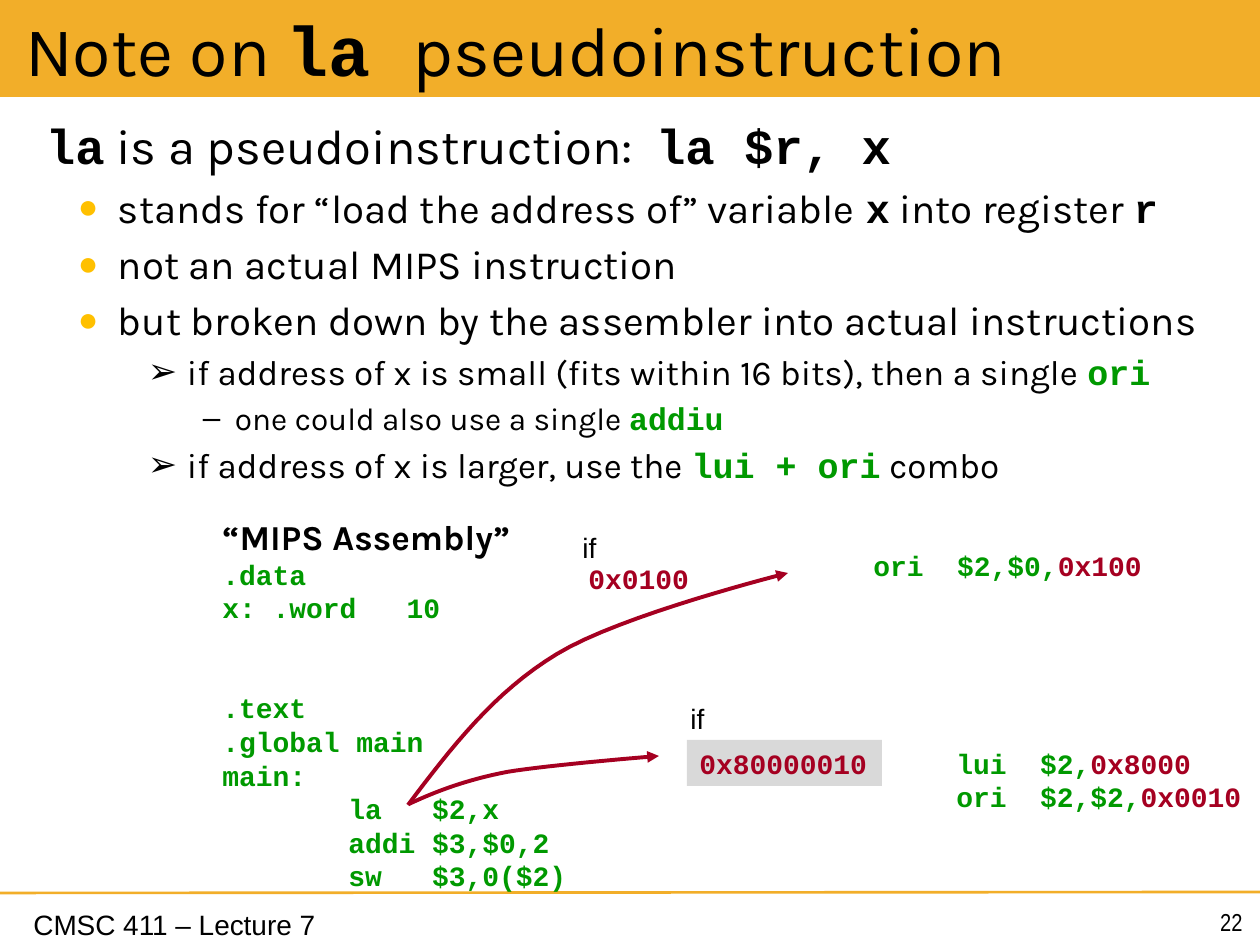
from lxml import etree
from pptx import Presentation
from pptx.dml.color import RGBColor
from pptx.enum.shapes import MSO_CONNECTOR, MSO_SHAPE
from pptx.enum.text import MSO_ANCHOR, MSO_AUTO_SIZE, PP_ALIGN
from pptx.oxml.ns import qn
from pptx.util import Emu, Pt

STRAIGHT = MSO_CONNECTOR.STRAIGHT
RECTANGLE = MSO_SHAPE.RECTANGLE
MIDDLE, TOP = MSO_ANCHOR.MIDDLE, MSO_ANCHOR.TOP
FIT_SHAPE, NO_FIT = MSO_AUTO_SIZE.SHAPE_TO_FIT_TEXT, MSO_AUTO_SIZE.NONE
LEFT, RIGHT = PP_ALIGN.LEFT, PP_ALIGN.RIGHT

PX = 914400 / 126
BLACK = RGBColor(0x00, 0x00, 0x00)
ORANGE = RGBColor(0xF2, 0xAE, 0x29)
GOLD = RGBColor(0xFF, 0xC0, 0x00)
GREEN = RGBColor(0x00, 0x99, 0x00)
RED = RGBColor(0xA5, 0x00, 0x21)
GREY = RGBColor(0xD9, 0xD9, 0xD9)

# Text styles: font, colour, bold
PLAIN = ("Karla", BLACK, False)
HEADING = ("Karla", BLACK, True)
MONO = ("Courier New", BLACK, True)
CODE = ("Courier New", GREEN, True)
VALUE = ("Courier New", RED, True)
LABEL = ("Arial", BLACK, False)
NUMBER = ("Arial Narrow", BLACK, False)

# Body levels: text size, left margin, hanging indent, bullet, bullet colour, bullet percent
LEVELS = [
    (28, 0, 0, None, None, None),
    (23, 72, 40, "●", GOLD, 85),
    (20, 141, 39, "➢", BLACK, 100),
    (18, 189, 32, "–", BLACK, 100),
]

BODY = [
    (0, [("la", MONO), (" is a pseudoinstruction:  ", PLAIN), ("la $r, x", MONO)]),
    (1, [("stands for “load the address of” variable ", PLAIN), ("x", MONO),
         (" into register ", PLAIN), ("r", MONO)]),
    (1, [("not an actual MIPS instruction", PLAIN)]),
    (1, [("but broken down by the assembler into actual instructions", PLAIN)]),
    (2, [("if address of x is small (fits within 16 bits), then a single ", PLAIN),
         ("ori", CODE)]),
    (3, [("one could also use a single ", PLAIN), ("addiu", CODE)]),
    (2, [("if address of x is larger, use the ", PLAIN), ("lui + ori", CODE),
         (" combo", PLAIN)]),
]

DECLARATIONS = [".data", "x: .word   10", ".text", ".global main", "main:"]
INSTRUCTIONS = ["la   $2,x", "addi $3,$0,2", "sw   $3,0($2)"]


def px(length):
    return Emu(round(length * PX))


def place(shape, left, top, width, height):
    shape.left, shape.top, shape.width, shape.height = map(px, (left, top, width, height))


def set_insets(frame, side, edge):
    frame.margin_left = frame.margin_right = px(side)
    frame.margin_top = frame.margin_bottom = px(edge)


def write(paragraph, spans, size):
    for text, (font, colour, bold) in spans:
        span = paragraph.add_run()
        span.text = text
        span.font.name, span.font.size = font, Pt(size)
        span.font.bold, span.font.color.rgb = bold, colour


def next_paragraph(frame, first):
    return frame.paragraphs[0] if first else frame.add_paragraph()


def indent(paragraph, margin, hanging=0):
    properties = paragraph._p.get_or_add_pPr()
    properties.set("marL", str(px(margin)))
    properties.set("indent", str(-px(hanging)))
    return properties


def set_bullet(properties, mark, colour, percent):
    if mark is None:
        etree.SubElement(properties, qn("a:buNone"))
        return
    holder = etree.SubElement(properties, qn("a:buClr"))
    etree.SubElement(holder, qn("a:srgbClr"), val=str(colour))
    etree.SubElement(properties, qn("a:buSzPct"), val=str(percent * 1000))
    etree.SubElement(properties, qn("a:buChar"), char=mark)


def add_title(page):
    title = page.shapes.title
    place(title, 0, 0, 1260, 97)
    title.fill.solid()
    title.fill.fore_color.rgb = ORANGE
    frame = title.text_frame
    frame.auto_size, frame.vertical_anchor = NO_FIT, MIDDLE
    set_insets(frame, 25, 6)
    paragraph = frame.paragraphs[0]
    paragraph.alignment = LEFT
    write(paragraph, [("Note on ", PLAIN), ("la ", MONO), ("pseudoinstruction", PLAIN)], 40)


def add_body(page):
    body = page.placeholders[1]
    place(body, 21, 97, 1207, 785)
    frame = body.text_frame
    frame.auto_size, frame.vertical_anchor = NO_FIT, TOP
    set_insets(frame, 25, 19)
    for index, (level, spans) in enumerate(BODY):
        size, margin, hanging, *bullet = LEVELS[level]
        paragraph = next_paragraph(frame, index == 0)
        paragraph.level = level
        set_bullet(indent(paragraph, margin, hanging), *bullet)
        if index == 0:
            paragraph.space_before = Pt(0)
        write(paragraph, spans, size)


def add_text(page, left, top, width, height, lines, size=16, align=LEFT):
    box = page.shapes.add_textbox(*map(px, (left, top, width, height)))
    fill_text(box, lines, size, align)
    return box


def fill_text(box, lines, size=16, align=LEFT):
    frame = box.text_frame
    frame.word_wrap, frame.auto_size = False, FIT_SHAPE
    for index, spans in enumerate(lines):
        paragraph = next_paragraph(frame, index == 0)
        paragraph.alignment = align
        write(paragraph, spans, size)


def add_program(page):
    box = add_text(page, 210, 509, 373, 394, [])
    frame = box.text_frame
    write(frame.paragraphs[0], [("“MIPS Assembly”", HEADING)], 20)
    for line in DECLARATIONS + INSTRUCTIONS:
        paragraph = frame.add_paragraph()
        if line in INSTRUCTIONS:
            indent(paragraph, 126)
        if line == ".text":
            paragraph.space_before = Pt(38)
        write(paragraph, [(line, CODE)], 16)


def add_value_box(page):
    box = page.shapes.add_shape(RECTANGLE, *map(px, (687, 740, 195, 46)))
    box.shadow.inherit = False
    box.fill.solid()
    box.fill.fore_color.rgb = GREY
    box.line.fill.background()
    fill_text(box, [[("0x80000010", VALUE)]])


def add_rule(page):
    rule = page.shapes.add_connector(STRAIGHT, *map(px, (0, 893, 1260, 892)))
    rule.line.color.rgb, rule.line.width = ORANGE, Pt(1.5)
    etree.SubElement(rule._element.spPr, qn("a:effectLst"))


def bezier(start, control_1, control_2, end, steps=16):
    """Return points along a cubic curve, without its start."""
    points = []
    for step in range(1, steps + 1):
        t = step / steps
        weights = ((1 - t) ** 3, 3 * t * (1 - t) ** 2, 3 * t * t * (1 - t), t ** 3)
        points.append(tuple(
            px(sum(w * c for w, c in zip(weights, axis)))
            for axis in zip(start, control_1, control_2, end)))
    return points


def add_curved_arrow(page, start, *curves):
    builder = page.shapes.build_freeform(px(start[0]), px(start[1]))
    for curve in curves:
        builder.add_line_segments(bezier(start, *curve), close=False)
        start = curve[-1]
    arrow = builder.convert_to_shape()
    arrow.shadow.inherit = False
    arrow.fill.background()
    arrow.line.color.rgb, arrow.line.width = RED, Pt(2.25)
    etree.SubElement(arrow.line._get_or_add_ln(), qn("a:tailEnd"), type="triangle")


def main():
    deck = Presentation()
    deck.slide_width, deck.slide_height = px(1260), px(945)
    page = deck.slides.add_slide(deck.slide_layouts[1])
    add_text(page, 21, 901, 420, 47, [[("CMSC 411 – Lecture 7", LABEL)]])
    add_rule(page)
    add_title(page)
    add_body(page)
    add_text(page, 1202, 901, 53, 42, [[("22", NUMBER)]], 14, RIGHT)
    add_program(page)
    add_text(page, 944, 740, 314, 81, [
        [("lui  $2,", CODE), ("0x8000", VALUE)],
        [("ori  $2,$2,", CODE), ("0x0010", VALUE)]])
    add_text(page, 861, 542, 297, 47, [[("ori  $2,$0,", CODE), ("0x100", VALUE)]])
    add_curved_arrow(page, (408, 805),
                     ((451, 748), (494, 692), (557, 654)),
                     ((620, 615), (788, 573), (788, 573)))
    add_curved_arrow(page, (409, 804),
                     ((437, 791), (466, 780), (507, 772)),
                     ((548, 765), (659, 756), (659, 756)))
    add_text(page, 576, 555, 127, 47, [[("0x0100", VALUE)]])
    add_value_box(page)
    for left, top in ((678, 695), (570, 524)):
        add_text(page, left, top, 40, 47, [[("if", LABEL)]])
    deck.save("out.pptx")


if __name__ == "__main__":
    main()
